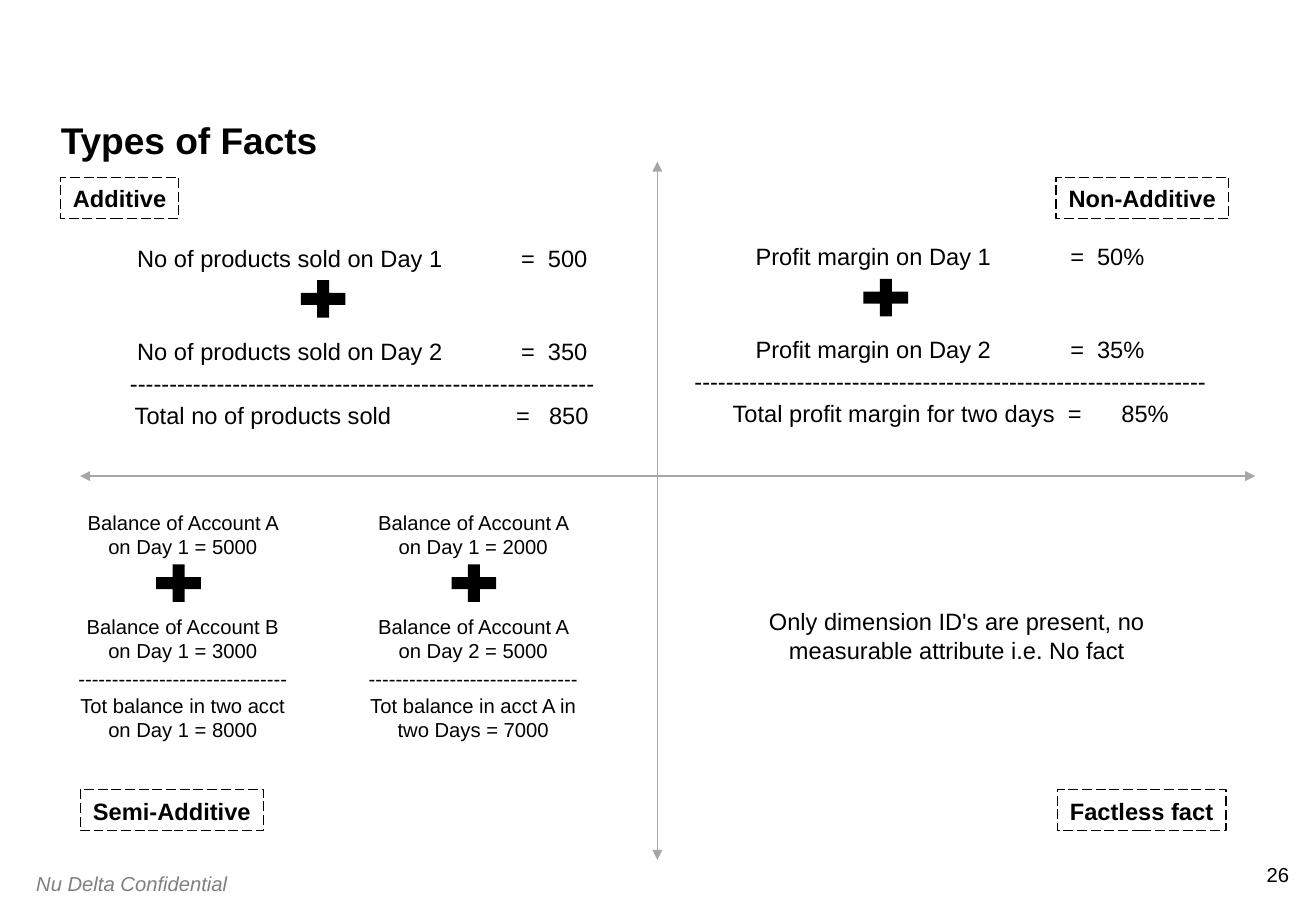
"""Build the "Types of Facts" four-quadrant slide."""
from lxml import etree
from pptx import Presentation
from pptx.dml.color import RGBColor
from pptx.enum.dml import MSO_LINE
from pptx.enum.shapes import MSO_CONNECTOR, MSO_SHAPE
from pptx.enum.text import MSO_ANCHOR, MSO_AUTO_SIZE, PP_ALIGN
from pptx.oxml.ns import qn
from pptx.util import Inches, Pt

BLACK = RGBColor(0x00, 0x00, 0x00)
GREY = RGBColor(0x80, 0x80, 0x80)
AXIS = RGBColor(0xA6, 0xA6, 0xA6)
LEFT, CENTER, RIGHT = PP_ALIGN.LEFT, PP_ALIGN.CENTER, PP_ALIGN.RIGHT
BOTTOM, NO_FIT = MSO_ANCHOR.BOTTOM, MSO_AUTO_SIZE.NONE
RECT, PLUS = MSO_SHAPE.RECTANGLE, MSO_SHAPE.MATH_PLUS
STRAIGHT, LONG_DASH = MSO_CONNECTOR.STRAIGHT, MSO_LINE.LONG_DASH
NO_MARGINS = {"margin_left": 0, "margin_right": 0, "margin_top": 0, "margin_bottom": 0}


class Deck:
    """Holds the text style and the current slide."""

    font = {"name": "Arial", "size": Pt(14), "bold": False, "italic": False}

    def __init__(self, prs):
        self.s = prs.slides.add_slide(prs.slide_layouts[5])

    def apply(self, target, values):
        for name, value in values.items():
            setattr(target, name, value)

    def fill_paragraph(self, p, text, align=CENTER, color=BLACK, before=0, tabs=(), **font):
        p.alignment = align
        p.space_before = Pt(before)
        if tabs:
            tab_list = etree.SubElement(p._p.get_or_add_pPr(), qn("a:tabLst"))
            for pos in tabs:
                etree.SubElement(tab_list, qn("a:tab"), pos=str(Inches(pos)), algn="l")
        r = p.add_run()
        r.text = text
        self.apply(r.font, {**self.font, **font})
        r.font.color.rgb = color

    def title(self, text, x, y, w, h):
        sp = self.s.shapes.title
        self.apply(sp, {"left": Inches(x), "top": Inches(y), "width": Inches(w), "height": Inches(h)})
        tf = sp.text_frame
        self.apply(tf, {**NO_MARGINS, "vertical_anchor": BOTTOM, "auto_size": NO_FIT})
        p = tf.paragraphs[0]
        p.line_spacing = 0.9
        self.fill_paragraph(p, text, LEFT, size=Pt(22), bold=True)

    def box(self, x, y, w, h, **frame):
        tf = self.s.shapes.add_textbox(Inches(x), Inches(y), Inches(w), Inches(h)).text_frame
        self.apply(tf, {"word_wrap": True, **frame})
        return tf

    def text(self, text, x, y, w, h, frame=None, **style):
        tf = self.box(x, y, w, h, **(frame or {}))
        self.fill_paragraph(tf.paragraphs[0], text, **style)

    def sum_block(self, rows, x, y, w, h, size, gap, before):
        tf = self.box(x, y, w, h)
        for i, (text, tabs) in enumerate(rows):
            p = tf.add_paragraph() if i else tf.paragraphs[0]
            self.fill_paragraph(p, text, LEFT if tabs else CENTER, tabs=tabs,
                                before=(0, gap, before, before)[i], size=Pt(size))

    def axis(self, x1, y1, x2, y2):
        c = self.s.shapes.add_connector(STRAIGHT, Inches(x1), Inches(y1), Inches(x2), Inches(y2))
        c.line.color.rgb = AXIS
        c.line.width = Pt(0.75)
        ln = c.line._get_or_add_ln()
        for end in ("a:headEnd", "a:tailEnd"):
            etree.SubElement(ln, qn(end), type="triangle")
        etree.SubElement(c._element.spPr, qn("a:effectLst"))

    def shape(self, kind, x, y, w, h):
        sp = self.s.shapes.add_shape(kind, Inches(x), Inches(y), Inches(w), Inches(h))
        sp.shadow.inherit = False
        return sp

    def label(self, text, x, y, w):
        sp = self.shape(RECT, x, y, w, 0.34)
        sp.fill.background()
        sp.line.color.rgb = BLACK
        self.apply(sp.line, {"width": Pt(0.75), "dash_style": LONG_DASH})
        tf = sp.text_frame
        self.apply(tf, {"word_wrap": False, "vertical_anchor": BOTTOM})
        self.fill_paragraph(tf.paragraphs[0], text, bold=True)

    def plus(self, x, y):
        sp = self.shape(PLUS, x, y, 0.5, 0.42)
        sp.fill.solid()
        sp.fill.fore_color.rgb = BLACK
        sp.line.fill.background()


def main():
    prs = Presentation()
    prs.slide_width, prs.slide_height = Inches(10.83), Inches(7.5)
    deck = Deck(prs)
    deck.title("Types of Facts", 0.5, 0.42, 9.83, 0.92)
    deck.text("26", 10.4, 7.1, 0.21, 0.2, {**NO_MARGINS, "word_wrap": False},
              align=RIGHT, size=Pt(12))
    deck.text("Nu Delta Confidential", 0.2, 7.12, 2, 0.3,
              align=LEFT, color=GREY, size=Pt(12), italic=True)

    deck.axis(5.41, 1.33, 5.41, 7.08)
    deck.axis(0.66, 3.92, 10.33, 3.92)
    for text, x, y, w in (("Additive", 0.5, 1.46, 0.97), ("Non-Additive", 8.69, 1.46, 1.42),
                          ("Semi-Additive", 0.66, 6.5, 1.51), ("Factless fact", 8.7, 6.5, 1.39)):
        deck.label(text, x, y, w)

    sold, margin = (0.14, 3.3, 3.52), (0.63, 3.22, 3.44)
    deck.sum_block((("\tNo of products sold on Day 1\t=\t500", sold),
                    ("\tNo of products sold on Day 2\t=\t350", sold),
                    ("-" * 59, ()),
                    ("\tTotal no of products sold\t=\t850", (0.12, 3.26, 3.53))),
                   0.89, 1.96, 4.19, 1.6, 14, 38.4, 2.1)
    deck.sum_block((("\tProfit margin on Day 1\t=\t50%", margin),
                    ("\tProfit margin on Day 2\t=\t35%", margin),
                    ("-" * 65, ()),
                    ("\tTotal profit margin for two days\t=\t85%", (0.44, 3.2, 3.64))),
                   5.49, 1.94, 4.67, 1.6, 14, 38.4, 2.1)
    deck.text("Only dimension ID's are present, no measurable attribute i.e. No fact",
              6.21, 4.95, 3.33, 0.55)
    for x, first, second, total in (
            (0.52, "A on Day 1 = 5000", "B on Day 1 = 3000", "two acct on Day 1 = 8000"),
            (2.91, "A on Day 1 = 2000", "A on Day 2 = 5000", "acct A in two Days = 7000")):
        deck.sum_block(((f"Balance of Account {first}", ()), (f"Balance of Account {second}", ()),
                        ("-" * 31, ()), (f"Tot balance in {total}", ())),
                       x, 4.15, 1.97, 2, 12, 33, 1.8)
    for x, y in ((2.41, 2.25), (7.04, 2.24), (1.22, 4.59), (3.65, 4.59)):
        deck.plus(x, y)
    prs.save("out.pptx")


if __name__ == "__main__":
    main()
